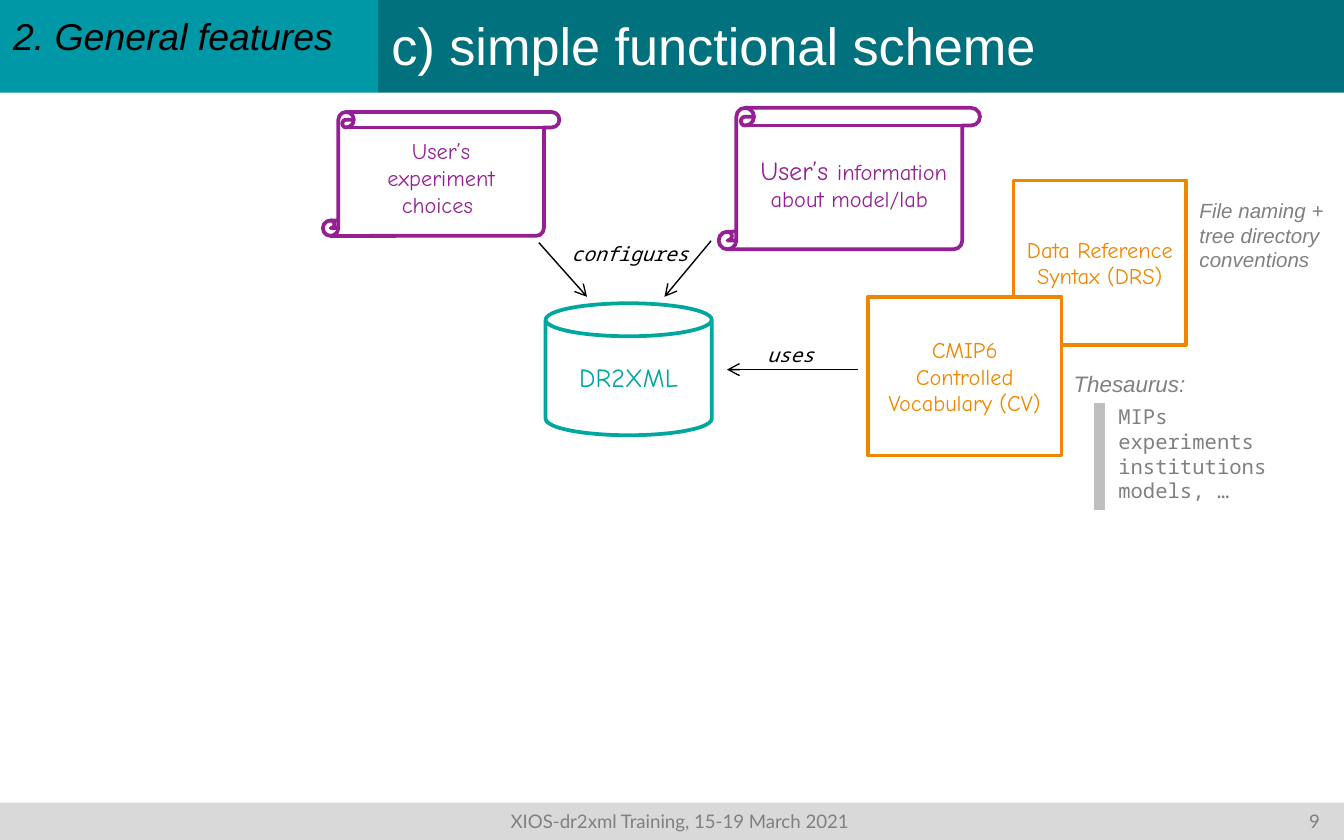
from lxml import etree
from pptx import Presentation
from pptx.dml.color import RGBColor
from pptx.enum.shapes import MSO_CONNECTOR, MSO_SHAPE
from pptx.enum.text import MSO_ANCHOR, PP_ALIGN
from pptx.oxml.ns import qn
from pptx.util import Pt

RECT, SCROLL, CAN = MSO_SHAPE.RECTANGLE, MSO_SHAPE.VERTICAL_SCROLL, MSO_SHAPE.CAN
STRAIGHT = MSO_CONNECTOR.STRAIGHT
LEFT, CENTER = PP_ALIGN.LEFT, PP_ALIGN.CENTER
TOP, MIDDLE = MSO_ANCHOR.TOP, MSO_ANCHOR.MIDDLE

HAND, MONO, SANS = "Comic Neue", "Noto Sans Mono", "Arial"
PURPLE, ORANGE, TEAL = "942093", "EF8600", "00A79F"
WHITE, BLACK, GREY = "FFFFFF", "000000", "808080"
TITLE_ONLY = 5


def rgb(color):
    return RGBColor.from_string(color)


def write(shape, lines, font, size, color, italic=False, align=LEFT,
          anchor=TOP, inset_x=7.2, inset_y=3.6):
    """Fill a shape with one paragraph per line, all in one style."""
    frame = shape.text_frame
    frame.word_wrap = True
    frame.vertical_anchor = anchor
    frame.margin_left = frame.margin_right = Pt(inset_x)
    frame.margin_top = frame.margin_bottom = Pt(inset_y)
    frame.text = "\n".join(lines)
    for paragraph in frame.paragraphs:
        paragraph.alignment = align
        paragraph.font.name = font
        paragraph.font.size = Pt(size)
        paragraph.font.italic = italic
        paragraph.font.color.rgb = rgb(color)
    return frame


def add_box(slide, kind, bounds, fill=None, line=None):
    box = slide.shapes.add_shape(kind, *map(Pt, bounds))
    box.shadow.inherit = False
    if fill:
        box.fill.solid()
        box.fill.fore_color.rgb = rgb(fill)
    else:
        box.fill.background()
    if line:
        box.line.color.rgb = rgb(line)
        box.line.width = Pt(2)
    else:
        box.line.fill.background()
    return box


def add_node(slide, kind, bounds, lines, color, size=12, fill=None, inset_x=7.2):
    """Outlined element of the scheme with a centred label."""
    node = add_box(slide, kind, bounds, fill, color)
    return write(node, lines, HAND, size, color, align=CENTER, anchor=MIDDLE,
                 inset_x=inset_x)


def add_note(slide, bounds, lines, font, size, color=GREY, italic=True, align=LEFT):
    note = slide.shapes.add_textbox(*map(Pt, bounds))
    write(note, lines, font, size, color, italic, align)


def add_line(slide, start, end, color=BLACK, width=0.75, arrow=True):
    line = slide.shapes.add_connector(STRAIGHT, *map(Pt, start + end))
    line.line.color.rgb = rgb(color)
    line.line.width = Pt(width)
    if arrow:
        etree.SubElement(line.line._get_or_add_ln(), qn("a:tailEnd"), type="arrow")
    etree.SubElement(line._element.spPr, qn("a:effectLst"))


def add_header(slide):
    title = slide.shapes.title
    title.left, title.top, title.width, title.height = map(Pt, (202.5, 0, 517.5, 49.7))
    title.fill.solid()
    title.fill.fore_color.rgb = rgb("00717D")
    write(title, ["c) simple functional scheme"], SANS, 28, WHITE, inset_y=7.2)

    section = add_box(slide, RECT, (0, 0, 202.5, 49.7), fill="0097A7")
    write(section, ["2. General features"], SANS, 20, BLACK, italic=True, inset_y=7.2)


def add_footer(slide):
    footer = add_box(slide, RECT, (0, 430, 720, 20), fill="D9D9D9")
    frame = write(footer, ["\tXIOS-dr2xml Training, 15-19 March 2021\t9"],
                  "Lato", 10, GREY, anchor=MIDDLE)
    properties = frame.paragraphs[0]._p.get_or_add_pPr()
    tabs = etree.Element(qn("a:tabLst"))
    for position, align in ((357, "ctr"), (700, "r")):
        etree.SubElement(tabs, qn("a:tab"), pos=str(Pt(position)), algn=align)
    properties.find(qn("a:defRPr")).addprevious(tabs)


def add_user_inputs(slide):
    add_node(slide, SCROLL, (173, 60, 126.7, 66.4),
             ["User’s", "experiment choices "], PURPLE)
    information = add_node(slide, SCROLL, (385, 57.8, 140, 75.8),
                           [" User’s "], PURPLE, size=14)
    detail = information.paragraphs[0].add_run()
    detail.text = "information about model/lab"
    detail.font.size = Pt(12)


def add_thesaurus(slide):
    add_note(slide, (592, 213, 99, 60),
             ["MIPs", "experiments", "institutions", "models, …"],
             MONO, 11, italic=False)
    add_line(slide, (589, 216), (589, 273), "BFBFBF", 6, arrow=False)
    add_note(slide, (568, 194.5, 99, 22), ["Thesaurus:"], SANS, 12)


def add_relations(slide):
    for start, end in (((459.5, 198), (389.5, 198)),
                       ((288.7, 130), (314.5, 159)),
                       ((381, 129), (356, 159))):
        add_line(slide, start, end)
    for label, bounds in (("uses", (402.5, 180, 42, 20)),
                          ("configures", (297.5, 126, 80, 20))):
        add_note(slide, bounds, [label], MONO, 10.5, BLACK, align=CENTER)


def add_references(slide):
    add_node(slide, RECT, (543, 96.7, 92.5, 88), ["Data Reference Syntax (DRS)"],
             ORANGE, inset_x=5)
    add_node(slide, RECT, (465, 159, 103.7, 85), ["CMIP6 Controlled Vocabulary (CV)"],
             ORANGE, fill=WHITE)
    add_note(slide, (635.5, 102.5, 82, 47.5),
             ["File naming + tree directory conventions"], SANS, 11)


def main():
    presentation = Presentation()
    presentation.slide_width, presentation.slide_height = Pt(720), Pt(450)
    slide = presentation.slides.add_slide(presentation.slide_layouts[TITLE_ONLY])

    add_header(slide)
    add_user_inputs(slide)
    add_thesaurus(slide)
    add_relations(slide)
    add_footer(slide)
    add_references(slide)
    # Central tool
    add_node(slide, CAN, (292.3, 162.5, 89, 70.7), ["DR2XML"], TEAL, size=14, fill=WHITE)

    presentation.save("out.pptx")


if __name__ == "__main__":
    main()
